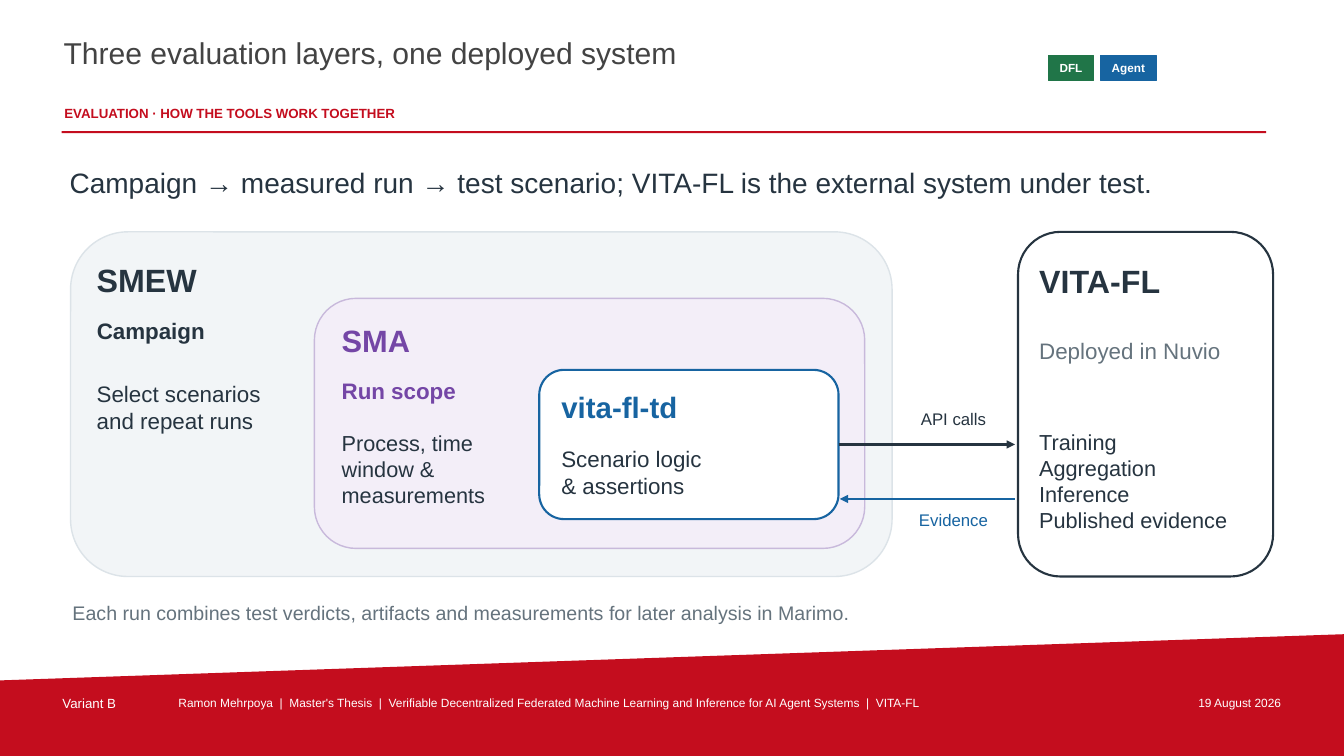
from lxml.etree import SubElement
from pptx import Presentation
from pptx.dml.color import RGBColor
from pptx.enum.shapes import MSO_CONNECTOR, MSO_SHAPE
from pptx.enum.text import MSO_ANCHOR, PP_ALIGN
from pptx.oxml.ns import qn
from pptx.util import Pt

COLORS = {
    "red": "C40D1E", "title": "434343", "ink": "263440", "gray": "65737D",
    "white": "FFFFFF", "green": "207548", "blue": "1764A1", "purple": "7446A6",
    "mist": "F2F5F7", "mist_edge": "DCE3E8", "lilac": "F3EEF8", "lilac_edge": "C8B9DB",
}


def rgb(name):
    return RGBColor.from_string(COLORS[name])


def write(sp, text, size, color, bold=False, align=PP_ALIGN.LEFT,
          anchor=MSO_ANCHOR.MIDDLE, inset=0):
    tf = sp.text_frame
    tf.word_wrap = True
    tf.vertical_anchor = anchor
    tf.margin_left = tf.margin_right = tf.margin_top = tf.margin_bottom = Pt(inset)
    p = tf.paragraphs[0]
    p.text = text
    p.alignment = align
    p.font.name = "Arial"
    p.font.size = Pt(size)
    p.font.bold = bold
    p.font.color.rgb = rgb(color)


def add_label(slide, x, y, w, h, text, size, color, **style):
    sp = slide.shapes.add_textbox(Pt(x), Pt(y), Pt(w), Pt(h))
    write(sp, text, size, color, **style)


def add_frame_text(slide, x, y, w, h, text, size, color, **style):
    add_label(slide, x, y, w, h, text, size, color,
              anchor=MSO_ANCHOR.TOP, inset=1.44, **style)


def paint(sp, fill, line=None, width=1):
    sp.shadow.inherit = False
    sp.fill.solid()
    sp.fill.fore_color.rgb = rgb(fill)
    if line:
        sp.line.color.rgb = rgb(line)
        sp.line.width = Pt(width)
    else:
        sp.line.fill.background()


def add_box(slide, kind, x, y, w, h, fill, line=None, width=1):
    sp = slide.shapes.add_shape(kind, Pt(x), Pt(y), Pt(w), Pt(h))
    paint(sp, fill, line, width)
    return sp


def add_badge(slide, x, w, text, color):
    sp = add_box(slide, MSO_SHAPE.RECTANGLE, x, 39.6, w, 18, color, color, 0.55)
    write(sp, text, 8.4, "white", bold=True, align=PP_ALIGN.CENTER)


def add_layer(slide, x, y, w, h, fill, line, width, text_x, labels):
    sp = add_box(slide, MSO_SHAPE.ROUNDED_RECTANGLE, x, y, w, h, fill, line, width)
    for top, label_w, label_h, text, size, color, bold in labels:
        add_label(slide, text_x, top, label_w, label_h, text, size, color, bold=bold)
    return sp


def add_arrow(slide, x1, x2, y, color):
    line = slide.shapes.add_connector(MSO_CONNECTOR.STRAIGHT, Pt(x1), Pt(y), Pt(x2), Pt(y))
    line.line.color.rgb = rgb(color)
    line.line.width = Pt(1.8)
    SubElement(line.line._get_or_add_ln(), qn("a:tailEnd"), type="triangle")
    SubElement(line._element.spPr, qn("a:effectLst"))
    return line


def add_footer(slide):
    builder = slide.shapes.build_freeform(Pt(0), Pt(486), scale=1.0)
    builder.add_line_segments([(Pt(960), Pt(453)), (Pt(960), Pt(540)), (Pt(0), Pt(540))])
    paint(builder.convert_to_shape(), "red")
    add_frame_text(slide, 43.2, 495.4, 79.2, 15.8, "Variant B", 9.5, "white")
    add_frame_text(
        slide, 126, 495.4, 673.2, 15.8,
        "Ramon Mehrpoya\u00a0 |\u00a0 Master's Thesis\u00a0 |\u00a0 Verifiable Decentralized Federated "
        "Machine Learning and Inference for AI Agent Systems\u00a0 |\u00a0 VITA-FL".replace("\u00a0", " "),
        8.5, "white")
    add_frame_text(slide, 806.4, 495.4, 110.2, 15.8, "19 August 2026", 8.5, "white",
                   align=PP_ALIGN.RIGHT)


def add_header(slide):
    add_frame_text(slide, 44, 23, 694.8, 44.6,
                   "Three evaluation layers, one deployed system", 21.5, "title")
    add_frame_text(slide, 44.6, 73.4, 698.4, 15.8,
                   "EVALUATION · HOW THE TOOLS WORK TOGETHER", 9.5, "red", bold=True)
    add_box(slide, MSO_SHAPE.RECTANGLE, 44, 93.6, 860.4, 1.44, "red")
    add_badge(slide, 748.8, 32.4, "DFL", "green")
    add_badge(slide, 786.2, 39.6, "Agent", "blue")


def main():
    prs = Presentation()
    prs.slide_width, prs.slide_height = Pt(960), Pt(540)
    slide = prs.slides.add_slide(prs.slide_layouts[6])

    add_footer(slide)
    add_header(slide)
    add_label(slide, 49.7, 109.4, 860.4, 41,
              "Campaign → measured run → test scenario; VITA-FL is the external system under test.",
              20, "ink")

    add_layer(slide, 50.4, 165.6, 586.8, 246.2, "mist", "mist_edge", 1, 69.1, [
        (185, 144, 30.2, "SMEW", 23, "ink", True),
        (223.2, 145.4, 25.2, "Campaign", 16, "ink", True),
        (259.2, 141.1, 63.4, "Select scenarios\nand repeat runs", 16, "ink", False),
    ])
    add_layer(slide, 224.6, 213.1, 393.1, 178.6, "lilac", "lilac_edge", 1, 244.1, [
        (228.2, 122.4, 30.2, "SMA", 22, "purple", True),
        (266.4, 122.4, 24.5, "Run scope", 16, "purple", True),
        (296.6, 124.6, 77, "Process, time\nwindow &\nmeasurements", 15.5, "ink", False),
    ])
    scenario = add_layer(slide, 385.2, 264.2, 213.8, 106.6, "white", "blue", 1.5, 401, [
        (275.8, 181.4, 28.8, "vita-fl-td", 21, "blue", True),
        (313.9, 181.4, 46.1, "Scenario logic\n& assertions", 16, "ink", False),
    ])
    add_layer(slide, 727.2, 165.6, 182.2, 246.2, "white", "ink", 1.5, 742.3, [
        (185, 151.2, 31, "VITA-FL", 23, "ink", True),
        (227.5, 151.2, 45.4, "Deployed in Nuvio", 16, "gray", False),
        (293.8, 151.2, 99.4, "Training\nAggregation\nInference\nPublished evidence",
         15.5, "ink", False),
    ])

    calls = add_arrow(slide, 599, 725, 317.5, "ink")
    calls.begin_connect(scenario, 3)
    add_label(slide, 642.2, 288.7, 77.8, 20.2, "API calls", 12, "ink", align=PP_ALIGN.CENTER)
    add_arrow(slide, 725, 599.8, 356.4, "blue")
    add_label(slide, 642.2, 360.7, 77.8, 21.6, "Evidence", 12, "blue", align=PP_ALIGN.CENTER)

    add_label(slide, 51.8, 425.5, 859, 24.5,
              "Each run combines test verdicts, artifacts and measurements for later analysis in Marimo.",
              14, "gray")
    prs.save("out.pptx")


if __name__ == "__main__":
    main()
